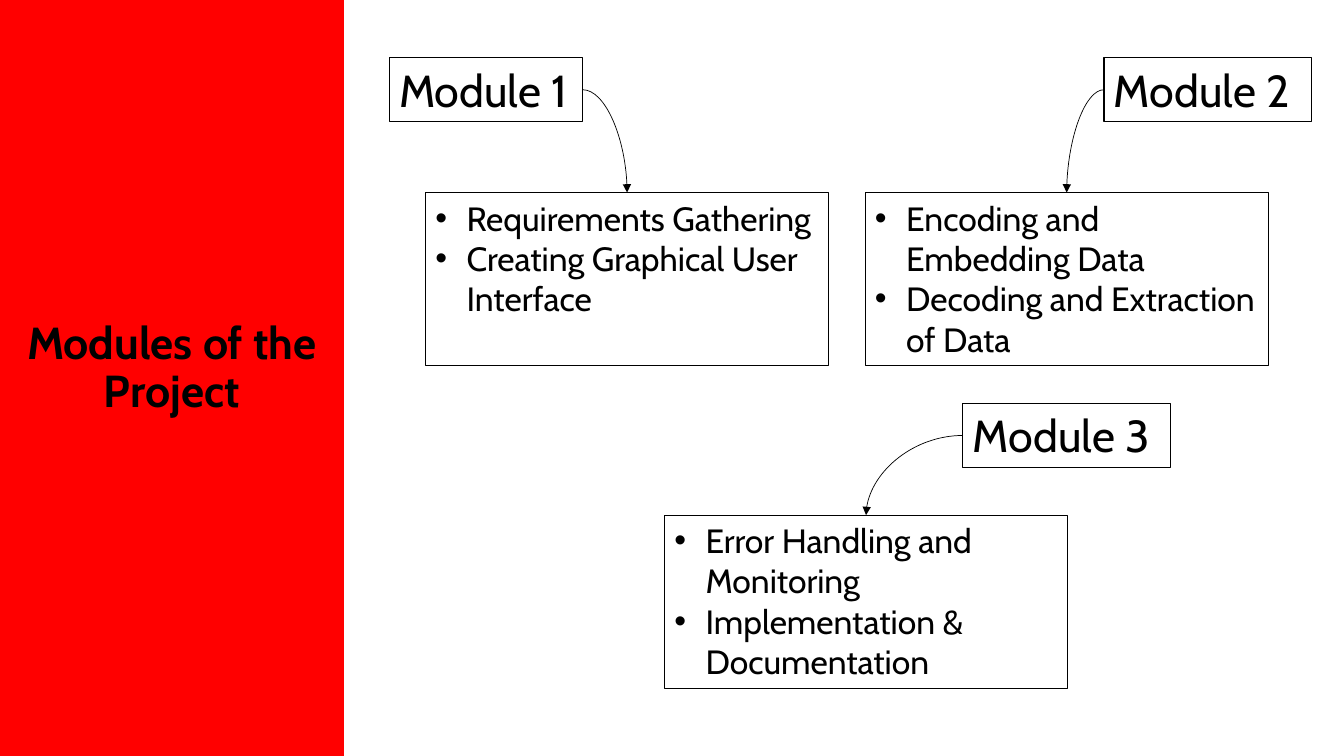
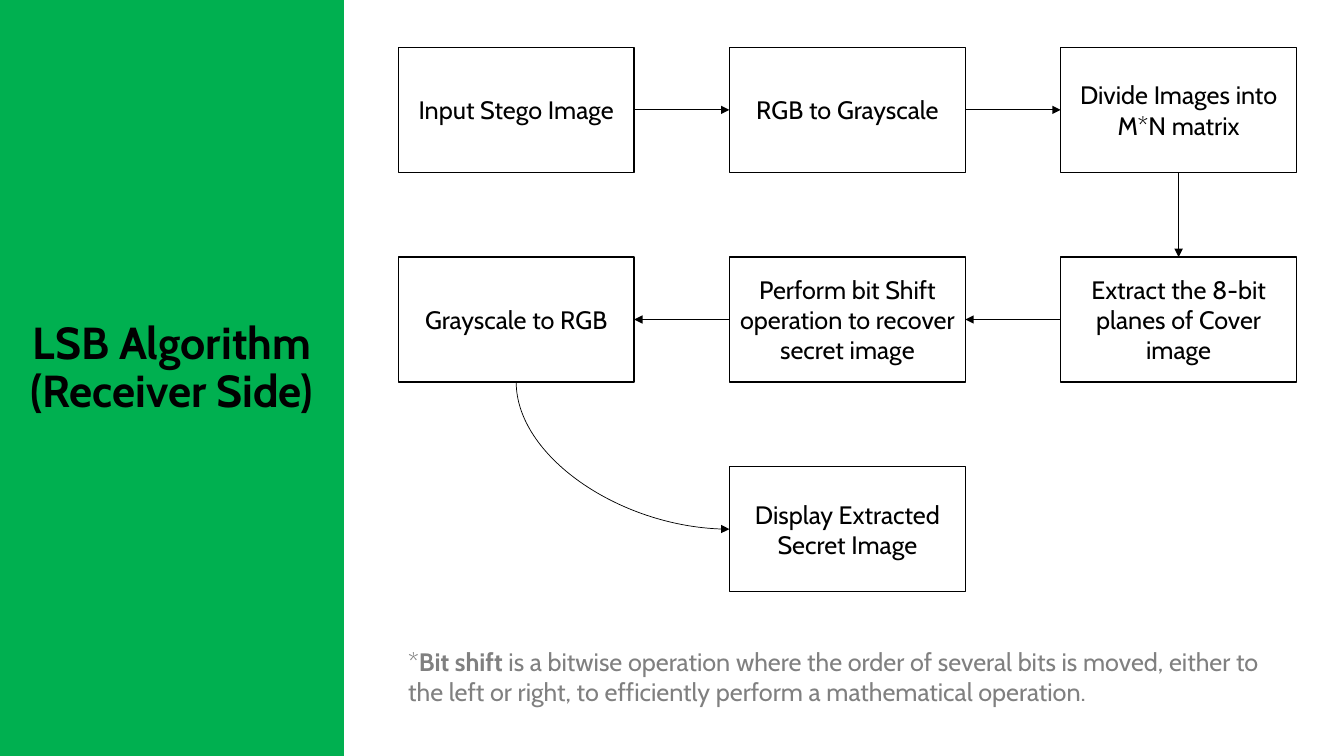
from dataclasses import dataclass

from lxml.etree import SubElement
from pptx import Presentation
from pptx.dml.color import RGBColor
from pptx.enum.shapes import MSO_CONNECTOR, MSO_SHAPE
from pptx.enum.text import MSO_ANCHOR, PP_ALIGN
from pptx.oxml.ns import qn
from pptx.util import Inches, Pt


@dataclass(frozen=True)
class Theme:
    font: str = "Cabin"
    ink: RGBColor = RGBColor(0, 0, 0)
    paper: RGBColor = RGBColor(255, 255, 255)
    muted: RGBColor = RGBColor(0x80, 0x80, 0x80)
    red: RGBColor = RGBColor(0xFF, 0, 0)
    green: RGBColor = RGBColor(0, 0xB0, 0x50)
    heading: int = 32
    bullet: int = 24
    body: int = 18
    thin: float = 0.5
    outline: float = 0.75
    frame: float = 1


@dataclass(frozen=True)
class Box:
    left: float
    top: float
    width: float
    height: float

    @property
    def center(self):
        return self.left + self.width / 2

    @property
    def middle(self):
        return self.top + self.height / 2

    @property
    def inches(self):
        return [Inches(v) for v in (self.left, self.top, self.width, self.height)]


THEME = Theme()
SLIDE_WIDTH, SLIDE_HEIGHT = 13.33, 7.5
BAND = Box(0, 0, 3.41, SLIDE_HEIGHT)
TOP, LEFT, BOTTOM, RIGHT = range(4)


# Shared parts
def add_run(paragraph, text, size, color=THEME.ink, bold=False):
    run = paragraph.add_run()
    run.text = text
    run.font.name = THEME.font
    run.font.size = Pt(size)
    run.font.bold = bold
    run.font.color.rgb = color


def add_rect(slide, box, fill=None, line=THEME.ink, weight=THEME.outline):
    rect = slide.shapes.add_shape(MSO_SHAPE.RECTANGLE, *box.inches)
    rect.shadow.inherit = False
    if fill is None:
        rect.fill.background()
    else:
        rect.fill.solid()
        rect.fill.fore_color.rgb = fill
    rect.line.color.rgb = line
    rect.line.width = Pt(weight)
    rect.text_frame.word_wrap = True
    return rect


def add_arrow(slide, kind, start=(0, 0), end=(0, 0)):
    points = [Inches(v) for v in (*start, *end)]
    arrow = slide.shapes.add_connector(kind, *points)
    arrow.line.color.rgb = THEME.ink
    arrow.line.width = Pt(THEME.thin)
    properties = arrow.element.spPr
    SubElement(properties.find(qn("a:ln")), qn("a:tailEnd"), type="triangle")
    SubElement(properties, qn("a:effectLst"))
    return arrow


def add_quarter_curve(slide, start, end, leaves_downward=False):
    """Curve with one bend, leaving sideways unless told otherwise."""
    if leaves_downward:
        # The preset leaves sideways, so lay it out on its side and turn it
        center, middle = (start[0] + end[0]) / 2, (start[1] + end[1]) / 2
        half_x, half_y = (end[0] - start[0]) / 2, (end[1] - start[1]) / 2
        start = center + half_y, middle - half_x
        end = center - half_y, middle + half_x
    curve = add_arrow(slide, MSO_CONNECTOR.CURVE, start, end)
    properties = curve.element.spPr
    properties.find(qn("a:prstGeom")).set("prst", "curvedConnector2")
    if leaves_downward:
        properties.find(qn("a:xfrm")).set("rot", str(270 * 60000))


def add_titled_slide(deck, text, band_color):
    slide = deck.slides.add_slide(deck.slide_layouts[5])
    add_rect(slide, BAND, band_color, band_color, THEME.frame)

    # Title in front of the band
    title = slide.shapes.title
    title.element.getparent().append(title.element)
    title.left, title.top, title.width, title.height = Box(
        BAND.left, 3.13, BAND.width, 1.24).inches
    frame = title.text_frame
    frame.word_wrap = True
    frame.vertical_anchor = MSO_ANCHOR.TOP
    paragraph = frame.paragraphs[0]
    paragraph.alignment = PP_ALIGN.CENTER
    paragraph.line_spacing = 0.9
    add_run(paragraph, text, THEME.heading, bold=True)
    return slide


# Modules slide
def add_bullet(paragraph, text):
    paragraph.alignment = PP_ALIGN.LEFT
    properties = paragraph._p.get_or_add_pPr()
    indent = Inches(0.31)
    properties.set("marL", str(indent))
    properties.set("indent", str(-indent))
    SubElement(properties, qn("a:buFont"), typeface="Arial")
    SubElement(properties, qn("a:buChar"), char="•")
    add_run(paragraph, text, THEME.bullet)


def add_module(slide, name, tasks, label_box, task_box):
    label = add_rect(slide, label_box).text_frame
    label.vertical_anchor = MSO_ANCHOR.TOP
    label.paragraphs[0].alignment = PP_ALIGN.LEFT
    add_run(label.paragraphs[0], name, THEME.heading)

    task_list = add_rect(slide, task_box).text_frame
    task_list.vertical_anchor = MSO_ANCHOR.TOP
    for index, task in enumerate(tasks):
        add_bullet(task_list.add_paragraph() if index else task_list.paragraphs[0], task)

    # Arrow leaves the label on the side that faces the list's center
    label_edge = label_box.left
    if label_box.center < task_box.center:
        label_edge += label_box.width
    add_quarter_curve(slide, (label_edge, label_box.middle),
                      (task_box.center, task_box.top))


def build_modules(deck):
    slide = add_titled_slide(deck, "Modules of the Project", THEME.red)
    label_height, task_size = 0.64, (4, 1.72)
    modules = [
        ("Module 1", ["Requirements Gathering", "Creating Graphical User Interface"],
         (3.86, 0.57, 1.92), (4.22, 1.91)),
        ("Module 2", ["Encoding and Embedding Data", "Decoding and Extraction of Data"],
         (10.95, 0.57, 2.06), (8.58, 1.91)),
        ("Module 3", ["Error Handling and Monitoring", "Implementation & Documentation"],
         (9.55, 4, 2.06), (6.59, 5.11)),
    ]
    for name, tasks, label, corner in modules:
        add_module(slide, name, tasks, Box(*label, label_height), Box(*corner, *task_size))


# Algorithm slide
def add_step_flow(slide, region, steps):
    """Place steps on a 3 by 3 grid in the region and join them in order."""
    width, height = 2.34, 1.24
    column_pitch = (region.width - width) / 2
    row_pitch = (region.height - height) / 2
    boxes, shapes = [], []
    for text, column, row in steps:
        box = Box(region.left + column * column_pitch,
                  region.top + row * row_pitch, width, height)
        step = add_rect(slide, box, THEME.paper, weight=THEME.frame)
        step.text_frame.vertical_anchor = MSO_ANCHOR.MIDDLE
        paragraph = step.text_frame.paragraphs[0]
        paragraph.alignment = PP_ALIGN.CENTER
        add_run(paragraph, text, THEME.body)
        boxes.append(box)
        shapes.append(step)

    for index in range(len(steps) - 1):
        _, column, row = steps[index]
        _, next_column, next_row = steps[index + 1]
        box, next_box = boxes[index], boxes[index + 1]
        if column != next_column and row != next_row:
            add_quarter_curve(slide, (box.center, box.top + height),
                              (next_box.left, next_box.middle), leaves_downward=True)
            continue
        if column == next_column:
            sides = BOTTOM, TOP
        else:
            sides = (RIGHT, LEFT) if next_column > column else (LEFT, RIGHT)
        arrow = add_arrow(slide, MSO_CONNECTOR.STRAIGHT)
        arrow.begin_connect(shapes[index], sides[0])
        arrow.end_connect(shapes[index + 1], sides[1])


def add_footnote(slide, box):
    note = slide.shapes.add_textbox(*box.inches).text_frame
    note.word_wrap = True
    for text, bold in [
        ("*", False),
        ("Bit shift ", True),
        ("is a bitwise operation where the order of several bits is moved, either to "
         "the left or right, to efficiently perform a mathematical operation.", False),
    ]:
        add_run(note.paragraphs[0], text, THEME.body, THEME.muted, bold)


def build_algorithm(deck):
    slide = add_titled_slide(deck, "LSB Algorithm (Receiver Side)", THEME.green)
    add_step_flow(slide, Box(3.95, 0.47, 8.91, 5.4), [
        ("Input Stego Image", 0, 0),
        ("RGB to Grayscale", 1, 0),
        ("Divide Images into M*N matrix", 2, 0),
        ("Extract the 8-bit planes of Cover image", 2, 1),
        ("Perform bit Shift operation to recover secret image", 1, 1),
        ("Grayscale to RGB", 0, 1),
        ("Display Extracted Secret Image", 1, 2),
    ])
    add_footnote(slide, Box(3.95, 6.36, 8.92, 0.71))


def main():
    deck = Presentation()
    deck.slide_width = Inches(SLIDE_WIDTH)
    deck.slide_height = Inches(SLIDE_HEIGHT)
    build_modules(deck)
    build_algorithm(deck)
    deck.save("out.pptx")


if __name__ == "__main__":
    main()
